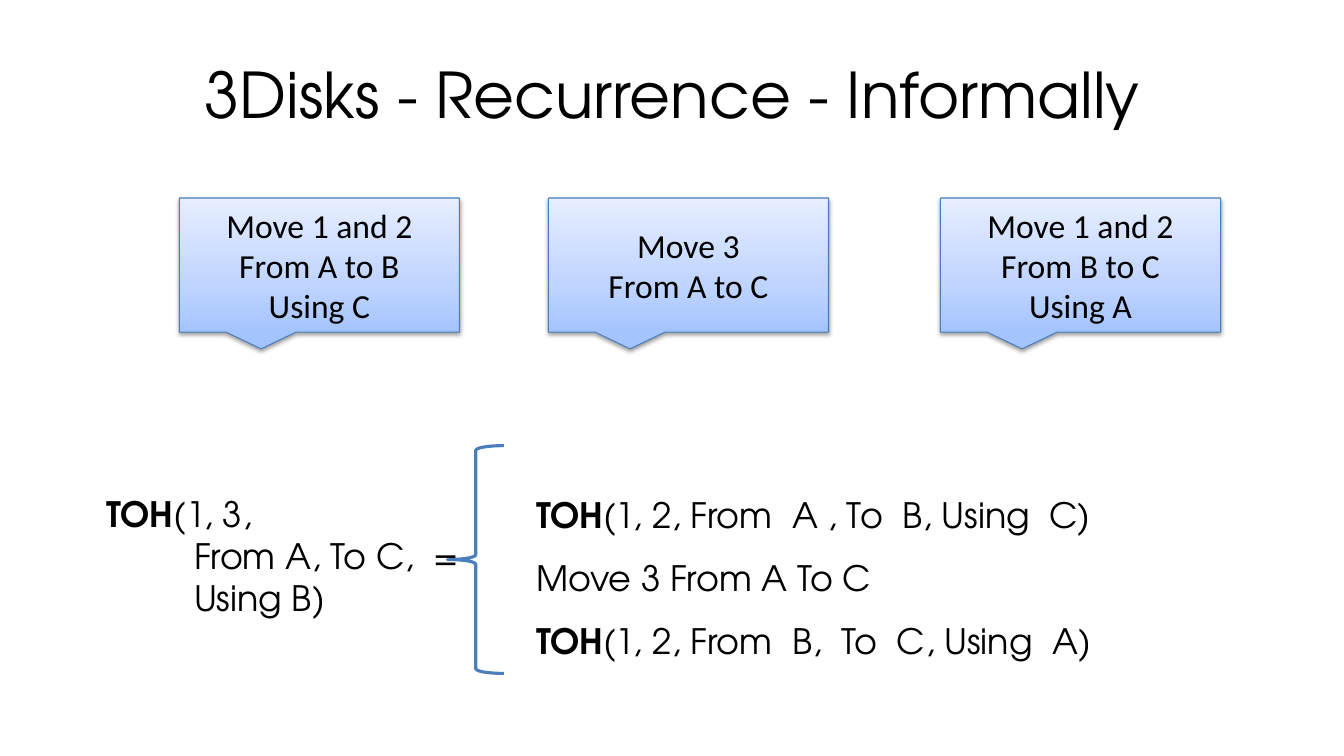
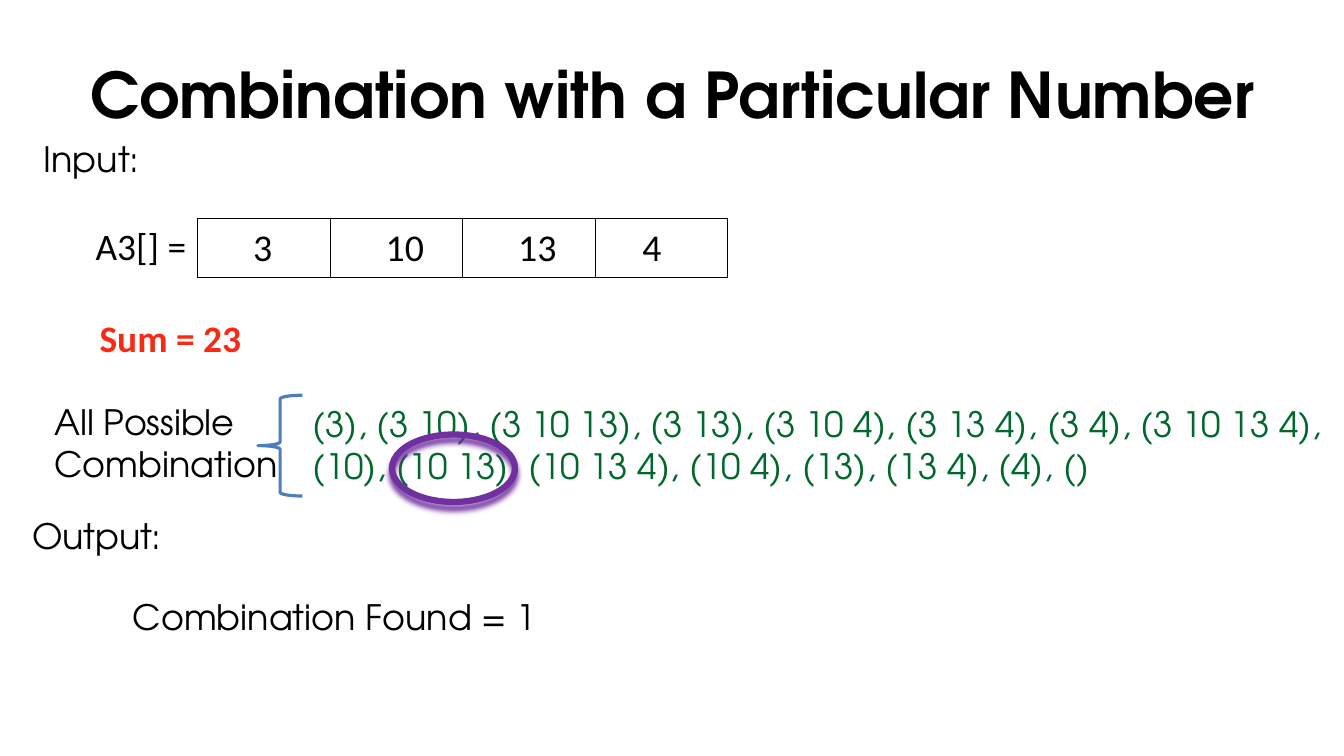
from copy import deepcopy

from lxml import etree
from pptx import Presentation
from pptx.dml.color import RGBColor
from pptx.enum.shapes import MSO_SHAPE
from pptx.enum.text import MSO_ANCHOR, PP_ALIGN
from pptx.oxml.ns import qn
from pptx.util import Cm, Pt

CENTER, LEFT = PP_ALIGN.CENTER, PP_ALIGN.LEFT
MIDDLE, TOP = MSO_ANCHOR.MIDDLE, MSO_ANCHOR.TOP
CALLOUT, BRACE, OVAL = (MSO_SHAPE.RECTANGULAR_CALLOUT, MSO_SHAPE.LEFT_BRACE,
                        MSO_SHAPE.OVAL)
HEAD, BODY = "TeX Gyre Adventor", "Calibri"
COLORS = {"ink": "000000", "line": "4B7EBC", "sum": "F72A15",
          "sets": "00682D", "ring": "7030A0"}
GRADIENT = [(0, "A4C4FF"), (0.35, "BFD4FF"), (1, "E6EEFF")]
TITLE_BOX = (1.7, 0.76, 30.48, 3.18)
WIDE_GAP = "_"


def rgb(name):
    """Return the colour registered under a name."""
    return RGBColor.from_string(COLORS[name])


def cm_box(box):
    """Turn a box given in centimetres into lengths."""
    return [Cm(v) for v in box]


def style_font(font, name=HEAD, size=25, color="ink", bold=False):
    """Set face, size, colour and weight of a font."""
    font.name, font.size, font.bold = name, Pt(size), bold
    font.color.rgb = rgb(color)


def add_run(p, text, spacing=0, **style):
    """Add a styled run, optionally with letter spacing in points."""
    r = p.add_run()
    r.text = text
    style_font(r.font, **style)
    if spacing:
        r.font._element.set("spc", str(spacing * 100))


def add_spaced(p, text, **style):
    """Add text whose marked gaps are one widened space."""
    for i, part in enumerate(text.split(WIDE_GAP)):
        if i:
            add_run(p, " ", spacing=7, **style)
        add_run(p, part, **style)


def fill_text(tf, lines, align=LEFT, anchor=TOP, **style):
    """Write lines into a frame; a (lead, rest) pair has a bold lead."""
    tf.word_wrap, tf.vertical_anchor = True, anchor
    for i, line in enumerate(lines):
        p = tf.add_paragraph() if i else tf.paragraphs[0]
        p.alignment = align
        lead, rest = line if isinstance(line, tuple) else ("", line)
        if lead:
            add_run(p, lead, **{**style, "bold": True})
        add_spaced(p, rest, **style)
    return tf


def add_text(s, box, lines, **style):
    """Add a wrapping text box."""
    tf = s.shapes.add_textbox(*cm_box(box)).text_frame
    return fill_text(tf, lines, **style)


def add_title(s, text, bold=False):
    """Add the centred slide title."""
    add_text(s, TITLE_BOX, [text], align=CENTER, anchor=MIDDLE,
             size=45, bold=bold)


def add_outline(s, kind, box, color, width):
    """Add an unfilled, unshadowed preset shape."""
    sp = s.shapes.add_shape(kind, *cm_box(box))
    sp.shadow.inherit = False
    sp.fill.background()
    sp.line.color.rgb, sp.line.width = rgb(color), Pt(width)
    return sp


def add_shadow(sp, color, alpha, blur, dist):
    """Give a shape a soft shadow falling straight down."""
    effects = sp._element.spPr.find(qn("a:effectLst"))
    shadow = etree.SubElement(
        effects, qn("a:outerShdw"), blurRad=str(Pt(blur)), dist=str(Pt(dist)),
        dir="5400000", rotWithShape="0")
    clr = etree.SubElement(shadow, qn("a:srgbClr"), val=COLORS[color])
    etree.SubElement(clr, qn("a:alpha"), val=str(alpha * 1000))


def add_callout(s, box, lines):
    """Add a gradient callout with centred lines."""
    sp = add_outline(s, CALLOUT, box, "line", 0.75)
    sp.fill.gradient()
    sp.fill.gradient_angle = 90
    stops = sp._element.spPr.find(".//" + qn("a:gsLst"))
    stops.append(deepcopy(stops[0]))
    for stop, (position, color) in zip(sp.fill.gradient_stops, GRADIENT):
        stop.position = position
        stop.color.rgb = RGBColor.from_string(color)
    add_shadow(sp, "ink", 38, 3.1, 1.6)
    fill_text(sp.text_frame, lines, align=CENTER, anchor=MIDDLE,
              name=BODY, size=24)


def add_callouts(s, x, y):
    """Add the row of three moves."""
    moves = [(0, ["Move 1 and 2", "From A to B", "Using C"]),
             (9.3, ["Move 3", "From A to C"]),
             (19.18, ["Move 1 and 2", "From B to C", "Using A"])]
    for dx, lines in moves:
        add_callout(s, (x + dx, y, 7.06, 3.38), lines)


def add_recurrence(s, x, y):
    """Add the call, its brace and the three steps it expands to."""
    add_outline(s, BRACE, (x + 8.84, y, 1.42, 5.74), "line", 2.25)
    tf = add_text(s, (x, y + 1.06, 12.7, 3.45),
                  [("TOH", "(1, 3,"), "From A, To C,_=", "Using B)"])
    for p in tf.paragraphs[1:]:
        p._p.get_or_add_pPr().set("marL", str(Cm(2.2)))
    tf = add_text(s, (x + 10.82, y + 0.56, 20.32, 5.2),
                  [("TOH", "(1, 2, From_A , To_B, Using_C)"),
                   "Move 3 From A To C",
                   ("TOH", "(1, 2, From_B,_To_C, Using_A)")])
    for p in tf.paragraphs:
        p.line_spacing = 1.5


def set_borders(cell):
    """Draw a thin line on every side of a cell."""
    pr = cell._tc.get_or_add_tcPr()
    for i, side in enumerate(("lnL", "lnR", "lnT", "lnB")):
        ln = etree.Element(qn("a:" + side), w=str(Pt(1)))
        fill = etree.SubElement(ln, qn("a:solidFill"))
        etree.SubElement(fill, qn("a:srgbClr"), val=COLORS["ink"])
        pr.insert(i, ln)


def add_array(s, x, y):
    """Add the array label and its one-row table."""
    values = [("3", 1.4), ("10", 1.4), ("13", 1.4), ("4", 1.19)]
    box = cm_box((x + 2.82, y, 13.36, 1.47))
    table = s.shapes.add_table(1, len(values), *box).table
    table.first_row = table.horz_banding = False
    for cell, (value, inset) in zip(table.rows[0].cells, values):
        cell.fill.background()
        cell.margin_left, cell.margin_right = Cm(inset), Cm(0.33)
        cell.margin_top = cell.margin_bottom = Cm(0.17)
        cell.text_frame.text = value
        style_font(cell.text_frame.paragraphs[0].runs[0].font, BODY, 27)
        set_borders(cell)
    add_text(s, (x, y, 3.38, 1.4), ["A3[] ="], name=BODY, size=26.7)


def add_combinations(s, x, y):
    """Add the braced list of combinations with the match ringed."""
    add_text(s, (x, y, 7.34, 2.39), ["All Possible Combination"])
    add_outline(s, BRACE, (x + 5.38, y, 1.12, 2.54), "line", 2.25)
    add_text(s, (x + 6.5, y + 0.05, 26, 2.5),
             ["(3), (3 10), (3 10 13), (3 13), (3 10 4), (3 13 4), (3 4), "
              "(3 10 13 4), (10), (10 13), (10 13 4), (10 4), (13), (13 4), "
              "(4), ()"], color="sets")
    ring = add_outline(s, OVAL, (x + 8.76, y + 0.99, 3.1, 1.7), "ring", 4.5)
    add_shadow(ring, "ring", 97, 4, 4)


def recurrence_slide(prs):
    """Build the three-disk recurrence slide."""
    s = prs.slides.add_slide(prs.slide_layouts[6])
    add_title(s, "3Disks - Recurrence - Informally")
    add_callouts(s, 4.52, 4.99)
    add_recurrence(s, 2.44, 11.23)


def combination_slide(prs):
    """Build the combination-sum example slide."""
    s = prs.slides.add_slide(prs.slide_layouts[6])
    add_title(s, "Combination with a Particular Number", bold=True)
    add_text(s, (0.84, 3.33, 31.32, 1.32), ["Input:"])
    add_array(s, 2.16, 5.51)
    add_text(s, (2.26, 7.82, 5.92, 1.4), ["Sum = 23"], name=BODY,
             size=26.7, color="sum", bold=True)
    add_combinations(s, 1.12, 9.96)
    add_text(s, (0.56, 12.85, 5.08, 1.32), ["Output:"])
    add_text(s, (3.1, 14.88, 11.86, 1.32), ["Combination Found = 1"])


def main():
    """Build and save the presentation."""
    prs = Presentation()
    prs.slide_width, prs.slide_height = Cm(33.87), Cm(19.05)
    recurrence_slide(prs)
    combination_slide(prs)
    prs.save("out.pptx")


if __name__ == "__main__":
    main()
